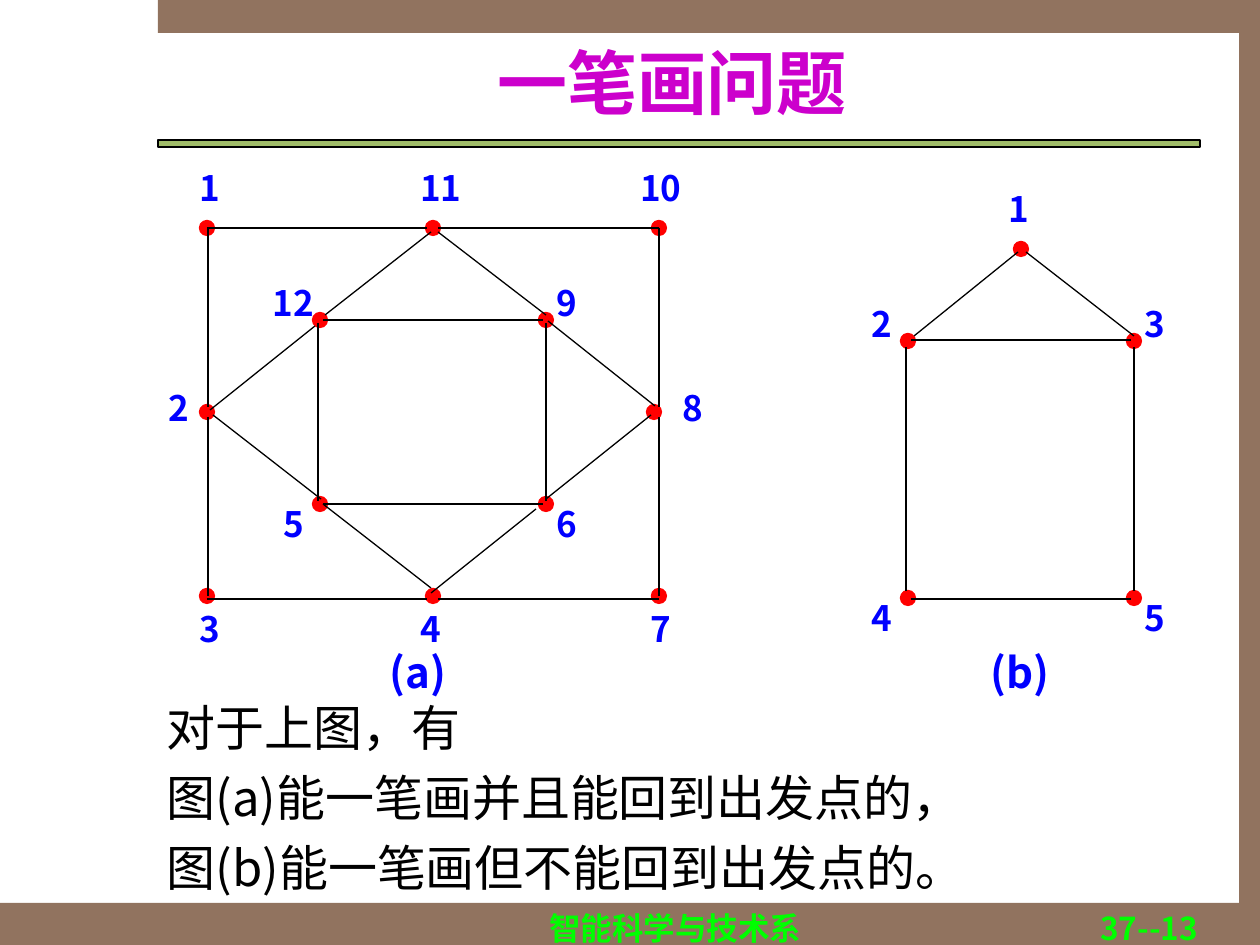
from pptx import Presentation, util as u
from pptx.dml.color import RGBColor
from pptx.enum import shapes, text
from pptx.oxml.ns import qn
from lxml import etree

FONT = "Noto Sans CJK SC"
COLORS = {"frame": "91735F", "rule": "A1BD69", "title": "CC00CC", "footer": "00FF00",
          "body": "000000", "edge": "000000", "node": "FF0000", "label": "0000FF"}
BANDS = [(0, 903, 1260, 42), (158, 0, 1102, 33), (1239, 32, 21, 872)]
RULE = (158, 140, 1042, 7)
TITLE = ["一笔画问题"]
BODY = ["对于上图，有", "图(a)能一笔画并且能回到出发点的，", "图(b)能一笔画但不能回到出发点的。"]
FOOTERS = [("智能科学与技术系", (402, 901, 546, 23), text.PP_ALIGN.CENTER),
           ("37--13", (949, 901, 262, 23), text.PP_ALIGN.RIGHT)]
DOT = 15
PAD = (13, 6)

# node: number, centre x, centre y, label left, label top
GRAPHS = [
    {"caption": "(a)", "caption_at": (377, 630),
     "nodes": [(1, 207, 228, 199, 158), (11, 433, 228, 420, 158), (10, 659, 228, 640, 158),
               (12, 320, 320, 273, 273), (9, 546, 320, 557, 273),
               (2, 207, 412, 168, 378), (8, 654, 412, 683, 378),
               (5, 320, 504, 284, 494), (6, 546, 504, 557, 494),
               (3, 207, 596, 199, 599), (4, 433, 596, 420, 599), (7, 659, 596, 651, 599)],
     "edges": [(207, 228, 427, 228), (438, 228, 659, 228),
               (207, 599, 427, 599), (438, 599, 659, 599),
               (208, 228, 208, 407), (208, 417, 208, 596),
               (659, 228, 659, 407), (659, 417, 659, 596),
               (323, 320, 543, 320), (323, 504, 543, 504),
               (318, 323, 318, 501), (546, 323, 546, 501),
               (438, 232, 546, 315), (548, 321, 655, 406),
               (431, 232, 325, 315), (315, 326, 210, 410),
               (213, 415, 321, 499), (323, 504, 431, 588),
               (651, 415, 546, 499), (536, 509, 431, 593)]},
    {"caption": "(b)", "caption_at": (978, 630),
     "nodes": [(1, 1021, 249, 1008, 179), (2, 908, 341, 872, 294), (3, 1134, 341, 1144, 294),
               (4, 908, 598, 872, 588), (5, 1134, 598, 1144, 588)],
     "edges": [(1026, 252, 1134, 336), (1018, 252, 914, 336), (911, 340, 1131, 340),
               (911, 599, 1131, 599), (1134, 347, 1134, 591), (906, 347, 906, 591)]},
]


def px(*values):
    return [u.Emu(round(value * 914400 / 126)) for value in values]


def rgb(name):
    return RGBColor.from_string(COLORS[name])


def add_shape(parent, kind, area, fill, line=None):
    shape = parent.add_shape(kind, *px(*area))
    shape.shadow.inherit = False
    shape.fill.solid()
    shape.fill.fore_color.rgb = rgb(fill)
    if line:
        shape.line.color.rgb = rgb(line)
        shape.line.width = u.Pt(0.75)
    else:
        shape.line.fill.background()


def add_edge(parent, ends):
    edge = parent.add_connector(shapes.MSO_CONNECTOR.STRAIGHT, *px(*ends))
    edge.line.color.rgb = rgb("edge")
    edge.line.width = u.Pt(0.75)
    etree.SubElement(edge._element.spPr, qn("a:effectLst"))


def add_text(parent, lines, area, color, size, bold=True, pad=(0, 0), leading=None,
             align=None, anchor=text.MSO_ANCHOR.TOP, wrap=True, hanging=0):
    frame = parent.add_textbox(*px(*area)).text_frame
    side, top = px(*pad)
    frame_format = {"margin_left": side, "margin_right": side, "margin_top": top,
                    "margin_bottom": top, "word_wrap": wrap, "vertical_anchor": anchor}
    for name, value in frame_format.items():
        setattr(frame, name, value)
    for index, line in enumerate(lines):
        para = frame.add_paragraph() if index else frame.paragraphs[0]
        para.alignment = align
        if leading:
            para.line_spacing = u.Pt(leading)
        if hanging:
            indent = px(hanging)[0]
            properties = para._p.get_or_add_pPr()
            properties.set("marL", str(indent))
            properties.set("indent", str(-indent))
        span = para.add_run()
        span.text = line
        for name, value in {"name": FONT, "size": u.Pt(size), "bold": bold}.items():
            setattr(span.font, name, value)
        span.font.color.rgb = rgb(color)
        etree.SubElement(span._r.get_or_add_rPr(), qn("a:ea")).set("typeface", FONT)


def add_graph(page, graph):
    group = page.shapes.add_group_shape().shapes
    for number, x, y, left, top in graph["nodes"]:
        add_shape(group, shapes.MSO_SHAPE.OVAL, (x - DOT / 2, y - DOT / 2, DOT, DOT), "node", "node")
    for ends in graph["edges"]:
        add_edge(group, ends)
    for number, x, y, left, top in graph["nodes"]:
        add_text(group, [str(number)], (left, top, 42, 63), "label", 20, leading=29)
    add_text(group, [graph["caption"]], (*graph["caption_at"], 101, 73), "label", 24,
             pad=PAD, leading=35, wrap=False)


def main():
    deck = Presentation()
    deck.slide_width, deck.slide_height = px(1260, 945)
    page = deck.slides.add_slide(deck.slide_layouts[6])
    for band in BANDS:
        add_shape(page.shapes, shapes.MSO_SHAPE.RECTANGLE, band, "frame")
    add_shape(page.shapes, shapes.MSO_SHAPE.RECTANGLE, RULE, "rule", "edge")
    for words, area, align in FOOTERS:
        add_text(page.shapes, [words], area, "footer", 18, pad=PAD, leading=23, align=align)
    add_text(page.shapes, TITLE, (168, 49, 1008, 66), "title", 40,
             align=text.PP_ALIGN.CENTER, anchor=text.MSO_ANCHOR.MIDDLE)
    add_text(page.shapes, BODY, (154, 680, 987, 224), "body", 28, bold=False, pad=PAD,
             leading=40, align=text.PP_ALIGN.JUSTIFY, hanging=48)
    for graph in GRAPHS:
        add_graph(page, graph)
    deck.save("out.pptx")


if __name__ == "__main__":
    main()
